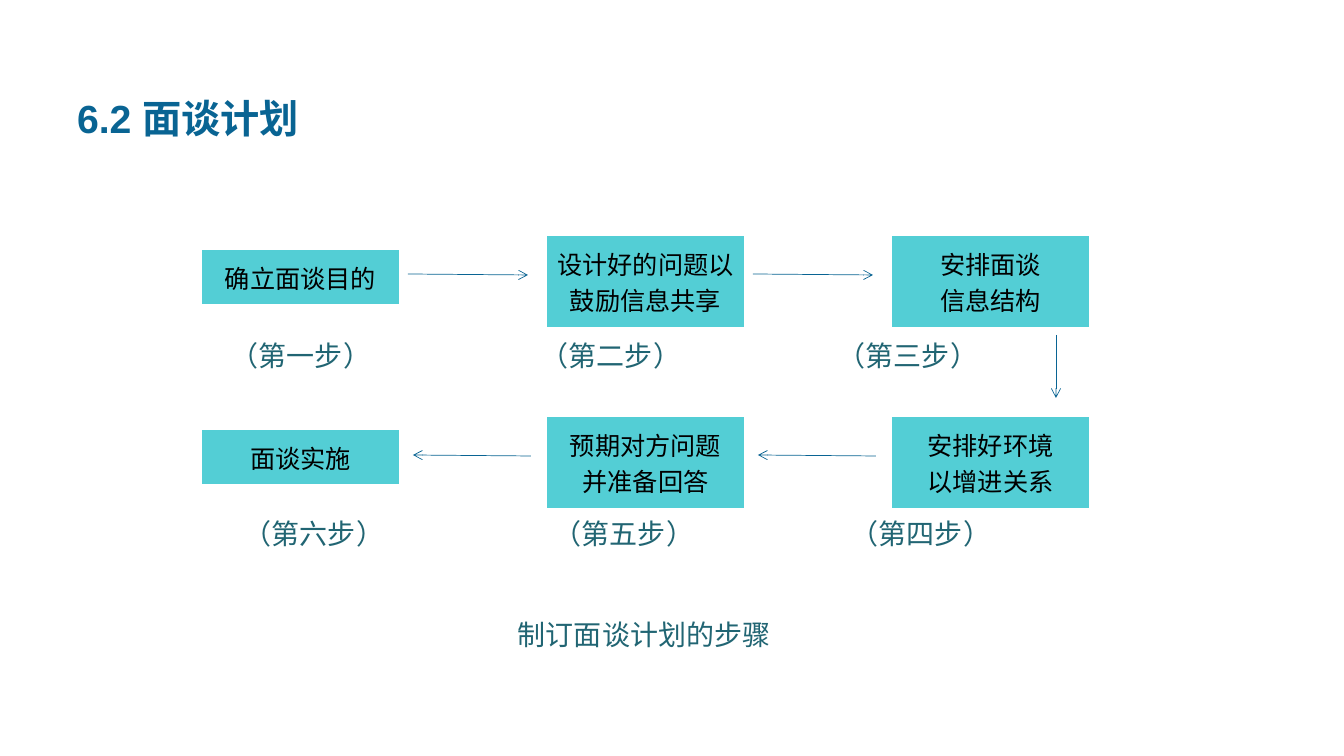
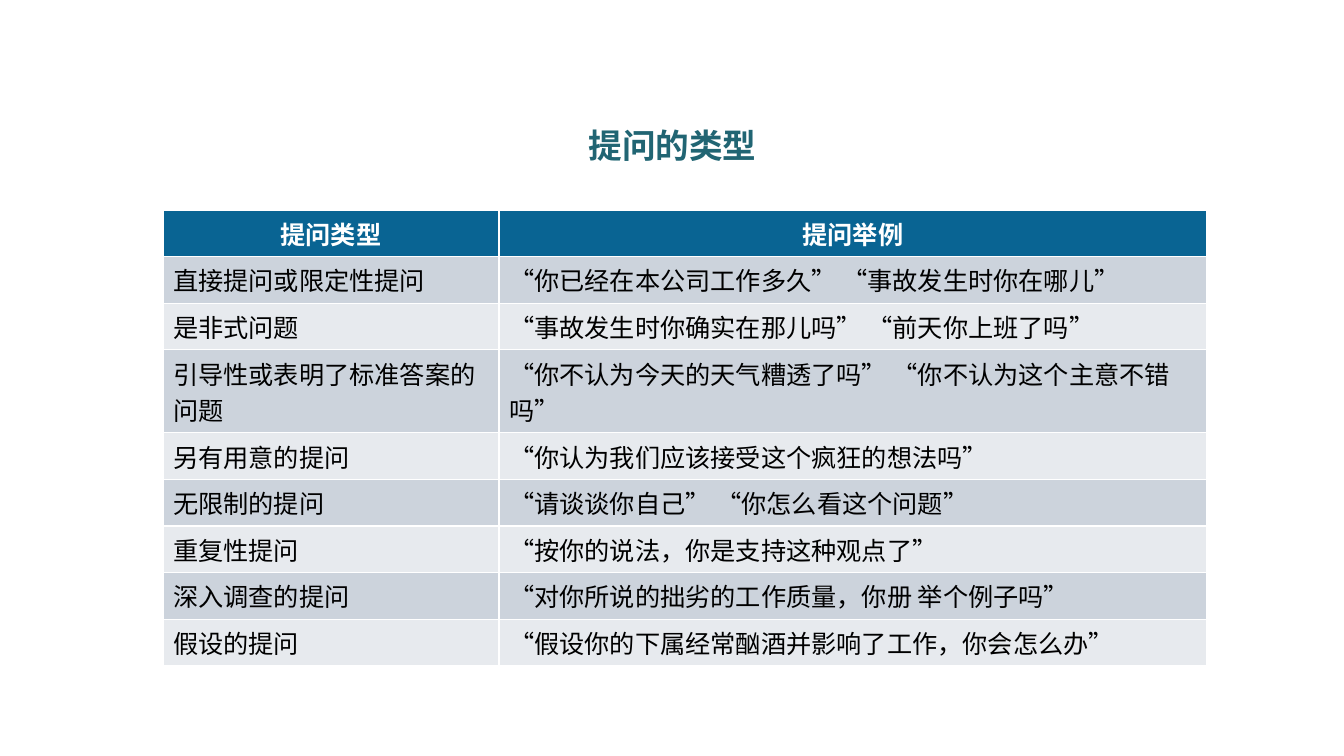
from dataclasses import dataclass
from typing import NamedTuple

from lxml.etree import SubElement
from pptx import Presentation
from pptx.dml.color import RGBColor
from pptx.enum.lang import MSO_LANGUAGE_ID as Lang
from pptx.enum.shapes import MSO_CONNECTOR as Link
from pptx.enum.text import MSO_ANCHOR as Anchor, MSO_AUTO_SIZE as Fit, PP_ALIGN as Align
from pptx.oxml import parse_xml
from pptx.oxml.ns import nsdecls, qn
from pptx.util import Pt

BLUE = RGBColor(0x09, 0x64, 0x93)
TEAL = RGBColor(0x21, 0x65, 0x73)
AQUA = RGBColor(0x53, 0xCE, 0xD5)
GREY = RGBColor(0xCC, 0xD3, 0xDC)
PALE = RGBColor(0xE7, 0xEA, 0xEE)
BLACK = RGBColor(0, 0, 0)
WHITE = RGBColor(0xFF, 0xFF, 0xFF)

FONT = "Arial"
SCALE = 914400 / 100.8
STEP = 345


@dataclass(frozen=True)
class Style:
    size: int
    color: RGBColor
    bold: bool = False
    align: Align = Align.LEFT
    lead: float = 1.0


class Rect(NamedTuple):
    left: int
    top: int
    width: int
    height: int


class Box(NamedTuple):
    col: int
    top: int
    height: int
    text: str


class Arrow(NamedTuple):
    x1: int
    y1: int
    x2: int
    y2: int


class Label(NamedTuple):
    left: int
    top: int
    text: str


HEAD = Style(28, BLUE, True, lead=1.2)
TOPIC = Style(24, TEAL, True, Align.CENTER)
NOTE = Style(20, TEAL, lead=1.5)
NODE = Style(18, BLACK, align=Align.CENTER)
COLUMN = Style(18, WHITE, True, Align.CENTER)
CELL = Style(18, BLACK)

BOXES = [
    Box(0, 254, 46, "确立面谈目的"),
    Box(1, 240, 82, "设计好的问题以鼓励信息共享"),
    Box(2, 240, 82, "安排面谈\n信息结构"),
    Box(2, 421, 82, "安排好环境\n以增进关系"),
    Box(1, 421, 82, "预期对方问题\n并准备回答"),
    Box(0, 434, 46, "面谈实施"),
]
ARROWS = [
    *(Arrow(408 + STEP * col, 274, 528 + STEP * col, 275) for col in range(2)),
    Arrow(1056, 335, 1056, 398),
    *(Arrow(531 + STEP * col, 456, 413 + STEP * col, 455) for col in (1, 0)),
]
LEFTS = (221, 531, 828)
LABELS = [
    Label(left + shift, top, f"（第{mark}步）")
    for shift, top, marks in ((0, 317, "一二三"), (13, 495, "六五四"))
    for left, mark in zip(LEFTS, marks)
]
ROWS = [
    ("提问类型", "提问举例"),
    ("直接提问或限定性提问", "“你已经在本公司工作多久” “事故发生时你在哪儿”"),
    ("是非式问题", "“事故发生时你确实在那儿吗” “前天你上班了吗”"),
    ("引导性或表明了标准答案的\n问题", "“你不认为今天的天气糟透了吗” “你不认为这个主意不错吗”"),
    ("另有用意的提问", "“你认为我们应该接受这个疯狂的想法吗”"),
    ("无限制的提问", "“请谈谈你自己” “你怎么看这个问题”"),
    ("重复性提问", "“按你的说法，你是支持这种观点了”"),
    ("深入调查的提问", "“对你所说的拙劣的工作质量，你册 举个例子吗”"),
    ("假设的提问", "“假设你的下属经常酗酒并影响了工作，你会怎么办”"),
]


def px(value: int) -> int:
    return round(value * SCALE)


def assign(target, values: dict) -> None:
    for key, value in values.items():
        setattr(target, key, value)


def write(frame, text: str, style: Style) -> None:
    frame.word_wrap = True
    for index, line in enumerate(text.split("\n")):
        para = frame.add_paragraph() if index else frame.paragraphs[0]
        assign(para, {"alignment": style.align, "line_spacing": style.lead})
        run = para.add_run()
        run.text = line
        assign(run.font, {
            "name": FONT,
            "size": Pt(style.size),
            "bold": style.bold,
            "language_id": Lang.SIMPLIFIED_CHINESE,
        })
        run.font.color.rgb = style.color


def place(shape, rect: Rect) -> None:
    assign(shape, {key: px(value) for key, value in rect._asdict().items()})


def add_title(slide, rect: Rect, text: str, style: Style, anchor: Anchor) -> None:
    title = slide.shapes.title
    place(title, rect)
    assign(title.text_frame, {"auto_size": Fit.NONE, "vertical_anchor": anchor})
    write(title.text_frame, text, style)


def add_text(slide, rect: Rect, text: str, style: Style) -> None:
    area = slide.shapes.add_textbox(*map(px, rect))
    write(area.text_frame, text, style)


def fill_cell(cell, text: str, style: Style, color: RGBColor) -> None:
    cell.fill.solid()
    cell.fill.fore_color.rgb = color
    write(cell.text_frame, text, style)


def add_box(slide, box: Box) -> None:
    rect = Rect(201 + STEP * box.col, box.top, 199, box.height)
    frame = slide.shapes.add_table(1, 1, *map(px, rect))
    assign(frame.table, {"first_row": False, "horz_banding": False})
    fill_cell(frame.table.cell(0, 0), box.text, NODE, AQUA)
    props = next(frame.element.iter(qn("a:tcPr")))
    for index, side in enumerate(("lnT", "lnB")):
        props.insert(index, parse_xml(
            f'<a:{side} {nsdecls("a")} w="{Pt(6)}"><a:solidFill>'
            f'<a:srgbClr val="{AQUA}"/></a:solidFill></a:{side}>'
        ))


def add_arrow(slide, arrow: Arrow) -> None:
    line = slide.shapes.add_connector(Link.STRAIGHT, *map(px, arrow))
    line.line.color.rgb = BLUE
    line.line.width = Pt(0.5)
    props = line.element.spPr
    SubElement(props.find(qn("a:ln")), qn("a:tailEnd")).set("type", "arrow")
    SubElement(props, qn("a:effectLst"))


def draw_plan(slide) -> None:
    add_title(slide, Rect(67, 69, 878, 77), "6.2 面谈计划", HEAD, Anchor.BOTTOM)
    for box in BOXES:
        add_box(slide, box)
    for arrow in ARROWS:
        add_arrow(slide, arrow)
    for label in LABELS:
        add_text(slide, Rect(label.left, label.top, 180, 60), label.text, NOTE)
    add_text(slide, Rect(508, 596, 520, 60), "制订面谈计划的步骤", NOTE)


def draw_types(slide) -> None:
    add_title(slide, Rect(347, 120, 651, 50), "提问的类型", TOPIC, Anchor.TOP)
    rect = Rect(163, 210, 1044, 435)
    table = slide.shapes.add_table(len(ROWS), 2, *map(px, rect)).table
    for col, width in zip(table.columns, (336, 708)):
        col.width = px(width)
    for index, texts in enumerate(ROWS):
        table.rows[index].height = px(75 if "\n" in texts[0] else 45)
        color = (GREY if index % 2 else PALE) if index else BLUE
        for cell, text in zip(table.rows[index].cells, texts):
            fill_cell(cell, text, CELL if index else COLUMN, color)


def main() -> None:
    deck = Presentation()
    assign(deck, {"slide_width": px(1344), "slide_height": px(756)})
    for draw in (draw_plan, draw_types):
        draw(deck.slides.add_slide(deck.slide_layouts[5]))
    deck.save("out.pptx")


if __name__ == "__main__":
    main()
